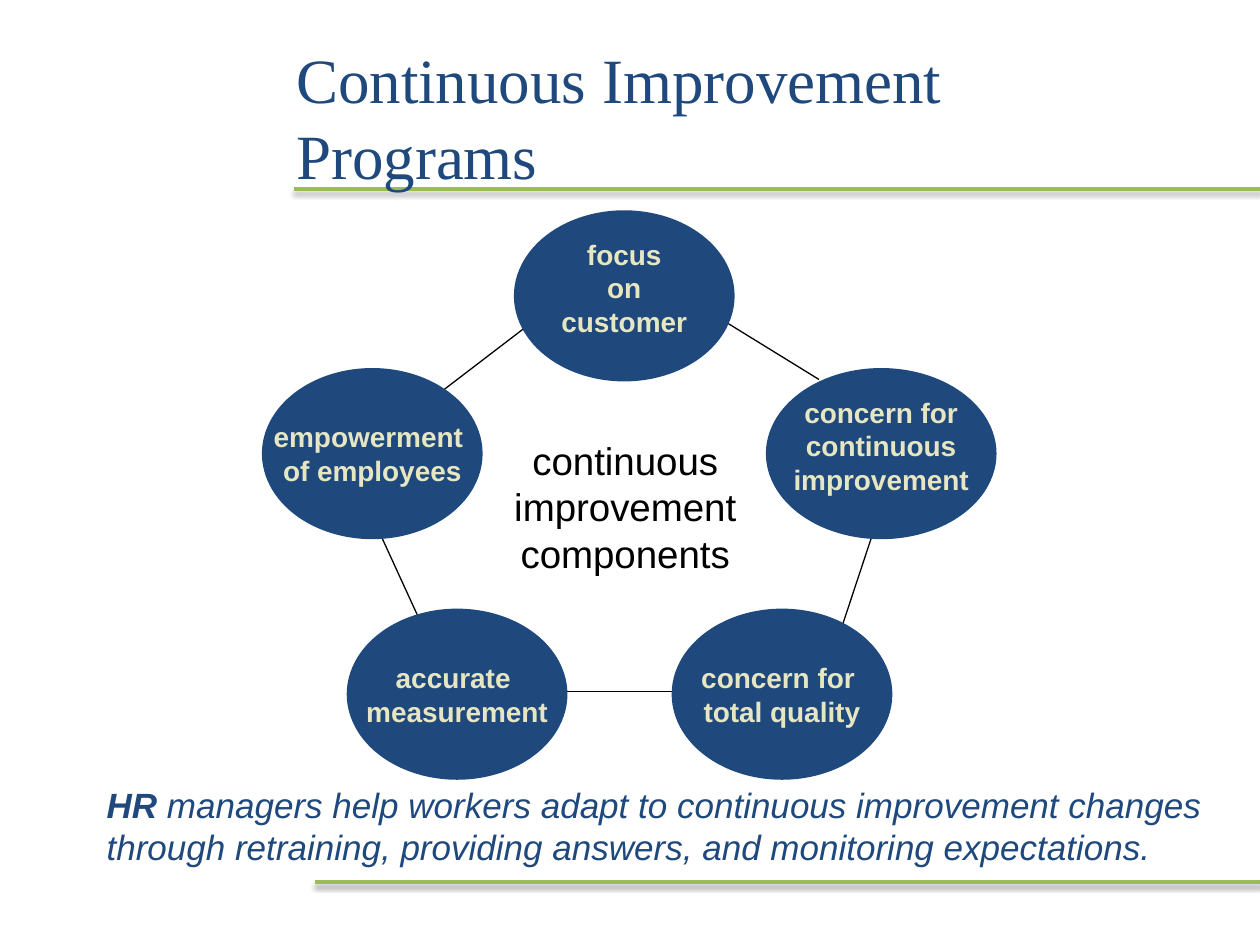
from lxml.etree import SubElement
from pptx import Presentation
from pptx.dml.color import RGBColor
from pptx.enum.shapes import MSO_CONNECTOR as Connector, MSO_SHAPE as Shape
from pptx.enum.text import MSO_ANCHOR as Anchor, PP_ALIGN as Align
from pptx.oxml.ns import qn
from pptx.util import Cm, Pt

NAVY, GREEN, CREAM, BLACK = "1F497D", "9BBB59", "E6E6C2", "000000"


def color(hex_code):
    return RGBColor.from_string(hex_code)


def write(paragraph, text, size=16, font="Arial", hue=BLACK, bold=False, italic=False, align=Align.LEFT):
    paragraph.alignment = align
    run = paragraph.add_run()
    run.text = text
    run.font.size = Pt(size)
    run.font.name = font
    run.font.bold = bold
    run.font.italic = italic
    run.font.color.rgb = color(hue)


class Diagram:
    oval_height = 3.45

    def __init__(self, slide):
        self.shapes = slide.shapes

    def line(self, start, end, hue=BLACK, width=0.75, shadow=False):
        link = self.shapes.add_connector(Connector.STRAIGHT, *map(Cm, start + end))
        link.line.color.rgb = color(hue)
        link.line.width = Pt(width)
        effects = SubElement(link._element.spPr, qn("a:effectLst"))
        if shadow:
            outer = SubElement(effects, qn("a:outerShdw"), blurRad="40000", dist="20000",
                               dir="5400000", rotWithShape="0")
            tint = SubElement(outer, qn("a:srgbClr"), val=BLACK)
            SubElement(tint, qn("a:alpha"), val="38000")

    def rule(self, left, top):
        self.line((left, top), (25.4, top), GREEN, 2, shadow=True)

    def text(self, box, parts, anchor=Anchor.TOP, **style):
        frame = self.shapes.add_textbox(*map(Cm, box)).text_frame
        frame.word_wrap = True
        frame.vertical_anchor = anchor
        for part, extra in parts:
            write(frame.paragraphs[0], part, **style, **extra)

    def oval(self, left, top, lines, width=4.45, lift=0):
        oval = self.shapes.add_shape(Shape.OVAL, Cm(left), Cm(top), Cm(width), Cm(self.oval_height))
        oval.shadow.inherit = False
        oval.fill.solid()
        oval.fill.fore_color.rgb = color(NAVY)
        oval.line.fill.background()
        frame = oval.text_frame
        frame.word_wrap = False
        frame.vertical_anchor = Anchor.MIDDLE
        frame.margin_bottom = Cm(0.13 + lift)
        for index, line in enumerate(lines):
            paragraph = frame.add_paragraph() if index else frame.paragraphs[0]
            write(paragraph, line, hue=CREAM, bold=True, align=Align.CENTER)


def main():
    deck = Presentation()
    deck.slide_width, deck.slide_height = Cm(25.4), Cm(19.05)
    diagram = Diagram(deck.slides.add_slide(deck.slide_layouts[6]))

    diagram.rule(5.92, 3.81)
    diagram.rule(6.35, 17.78)
    diagram.text((1.9, 15.67, 22.66, 1.96), [
        ("HR", {"bold": True}),
        (" managers help workers adapt to continuous improvement changes through retraining, "
         "providing answers, and monitoring expectations.", {}),
    ], size=20, hue=NAVY, italic=True)

    for start, end in [
        ((17.58, 10.8), (16.94, 12.73)),
        ((13.54, 13.94), (11.43, 13.94)),
        ((8.46, 12.5), (7.19, 9.73)),
        ((8.89, 7.9), (10.59, 6.6)),
        ((14.4, 6.35), (16.51, 7.65)),
    ]:
        diagram.line(start, end)

    diagram.text((9.53, 8.69, 6.15, 3.05), [("continuous improvement components", {})],
                 size=22, align=Align.CENTER)

    side_top, base_top = 7.42, 12.27
    diagram.oval(5.28, side_top, ["empowerment ", "of employees"])
    diagram.oval(6.99, base_top, ["accurate ", "measurement"])
    diagram.oval(13.54, base_top, ["concern for ", "total quality"])
    diagram.oval(10.36, 4.24, ["focus", "on", "customer"], lift=0.32)
    diagram.oval(15.44, side_top, ["concern for", "continuous", "improvement"], width=4.65, lift=0.32)

    diagram.text((5.72, 0.76, 18.42, 3.18), [("Continuous Improvement Programs", {})],
                 anchor=Anchor.MIDDLE, size=36, font="Times New Roman", hue=NAVY)
    deck.save("out.pptx")


if __name__ == "__main__":
    main()
